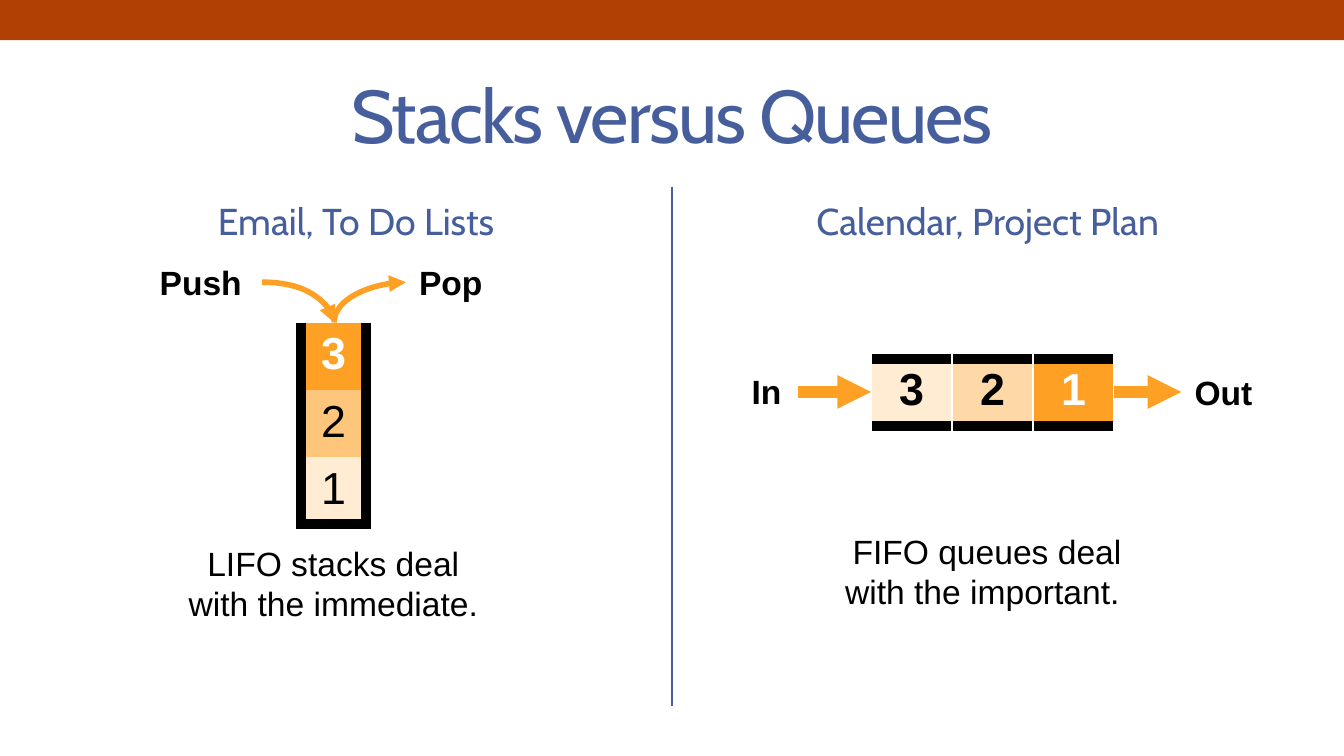
from lxml import etree
from pptx import Presentation, util as u
from pptx.dml.color import RGBColor
from pptx.enum import shapes, text
from pptx.oxml.ns import qn

BLUE, ORANGE, BLACK, WHITE = "465E9C", "FDA023", "000000", "FFFFFF"
CREAM, PEACH, APRICOT = "FFECD3", "FED9A7", "FEC67B"
NO_GRID = "{2D5ABB26-0587-4C30-8999-92F81FD0307C}"


def rgb(value):
    return RGBColor.from_string(value)


def write(frame, words, size=18, font="Arial", color=BLACK, bold=False,
          align="CENTER", spacing=0, before=0):
    paragraph = frame.paragraphs[0]
    paragraph.text = words
    paragraph.alignment = getattr(text.PP_ALIGN, align)
    paragraph.space_before = u.Pt(before)
    for run in paragraph.runs:
        run.font.size = u.Pt(size)
        run.font.name = font
        run.font.bold = bold
        run.font.color.rgb = rgb(color)
        if spacing:
            run.font._element.set("spc", str(spacing * 100))


class Deck:
    def __init__(self, width, height):
        self.show = Presentation()
        self.show.slide_width, self.show.slide_height = u.Pt(width), u.Pt(height)
        self.slide = self.show.slides.add_slide(self.show.slide_layouts[6])

    def bar(self, box, color):
        bar = self.slide.shapes.add_shape(shapes.MSO_SHAPE.RECTANGLE, *map(u.Pt, box))
        bar.shadow.inherit = False
        bar.fill.solid()
        bar.fill.fore_color.rgb = rgb(color)
        bar.line.fill.background()

    def label(self, box, words, anchor="TOP", **style):
        frame = self.slide.shapes.add_textbox(*map(u.Pt, box)).text_frame
        frame.word_wrap = True
        frame.vertical_anchor = getattr(text.MSO_ANCHOR, anchor)
        write(frame, words, **style)

    def line(self, ends, color, width, arrow=None, curved=False):
        kind = shapes.MSO_CONNECTOR.CURVE if curved else shapes.MSO_CONNECTOR.STRAIGHT
        line = self.slide.shapes.add_connector(kind, *map(u.Pt, ends))
        line.line.color.rgb = rgb(color)
        line.line.width = u.Pt(width)
        properties = line._element.spPr
        if curved:
            properties.find(qn("a:prstGeom")).set("prst", "curvedConnector2")
        if arrow:
            etree.SubElement(properties.find(qn("a:ln")), qn(f"a:{arrow}"), type="triangle")
        etree.SubElement(properties, qn("a:effectLst"))

    def border(self, cell, side, color, width):
        edge = etree.SubElement(cell._tc.get_or_add_tcPr(), qn(f"a:ln{side}"),
                                w=str(u.Pt(width)))
        fill = etree.SubElement(edge, qn("a:solidFill"))
        etree.SubElement(fill, qn("a:srgbClr"), val=color)

    def table(self, left, top, column, row, grid):
        rows, columns = len(grid), len(grid[0])
        table = self.slide.shapes.add_table(
            rows, columns, u.Pt(left), u.Pt(top),
            u.Pt(column * columns), u.Pt(row * rows)).table
        table.first_row = table.horz_banding = False
        table._tbl.tblPr.find(qn("a:tableStyleId")).text = NO_GRID
        for r, entries in enumerate(grid):
            for c, (words, fill, color, bold, borders) in enumerate(entries):
                cell = table.cell(r, c)
                for side, (edge_color, width) in borders.items():
                    self.border(cell, side, edge_color, width)
                cell.fill.solid()
                cell.fill.fore_color.rgb = rgb(fill)
                write(cell.text_frame, words, size=24, color=color, bold=bold)


def main():
    deck = Deck(720, 405)
    deck.bar((0, 0, 720, 21.6), "B04004")
    deck.line((360, 100, 360, 378), BLUE, 1.5)
    deck.label((36, 31.7, 648, 58.3), "Stacks versus Queues", "MIDDLE",
               size=40, font="Cabin", color=BLUE, spacing=-1)
    for left, heading in ((36, "Email, To Do Lists"), (374.4, "Calendar, Project Plan")):
        deck.label((left, 99.4, 309.6, 37.4), heading, "MIDDLE",
                   size=20, font="Cabin", color=BLUE, before=4)

    wall, seam = (BLACK, 6), (WHITE, 1)
    sides = {"L": wall, "R": wall}
    deck.table(161.3, 172.8, 34.8, 29.5, [
        [("3", ORANGE, WHITE, True, sides)],
        [("2", APRICOT, BLACK, False, sides)],
        [("1", CREAM, BLACK, False, {**sides, "B": wall})],
    ])
    rails = {"L": seam, "R": seam, "T": wall, "B": wall}
    deck.table(466.6, 192.2, 43.4, 21.6, [[
        ("3", CREAM, BLACK, True, rails),
        ("2", PEACH, BLACK, True, rails),
        ("1", ORANGE, WHITE, True, rails),
    ]])

    for left, top, width, action, align in (
            (78.5, 136.8, 61.9, "Push", "LEFT"), (217.4, 136.8, 56.9, "Pop", "LEFT"),
            (393.8, 195.1, 33.8, "In", "CENTER"), (632.9, 195.8, 49, "Out", "LEFT")):
        deck.label((left, top, width, 28.8), action, bold=True, align=align)

    for start, arrow in ((140.4, "tailEnd"), (217.4, "headEnd")):
        deck.line((start, 151.2, 179, 172.8), ORANGE, 3, arrow, curved=True)
    for start, end in ((427.7, 466.6), (596.9, 632.9)):
        deck.line((start, 210, end, 210), ORANGE, 6, "tailEnd")

    deck.label((92.2, 287.3, 172.8, 51.1), "LIFO stacks deal\nwith the immediate.")
    deck.label((389.5, 280.8, 278.6, 51.1), "FIFO queues deal\nwith the important. ")
    deck.show.save("out.pptx")


if __name__ == "__main__":
    main()
